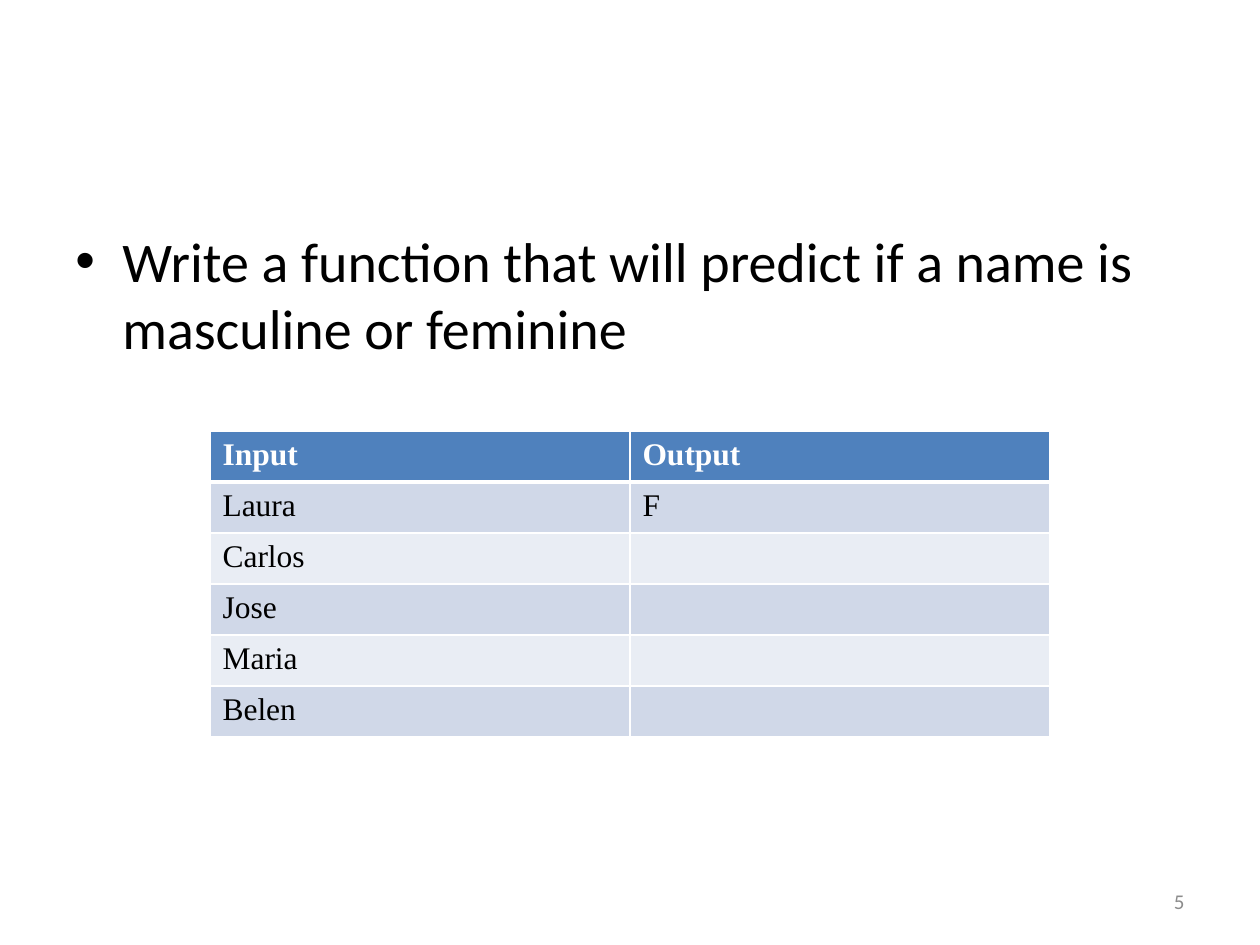
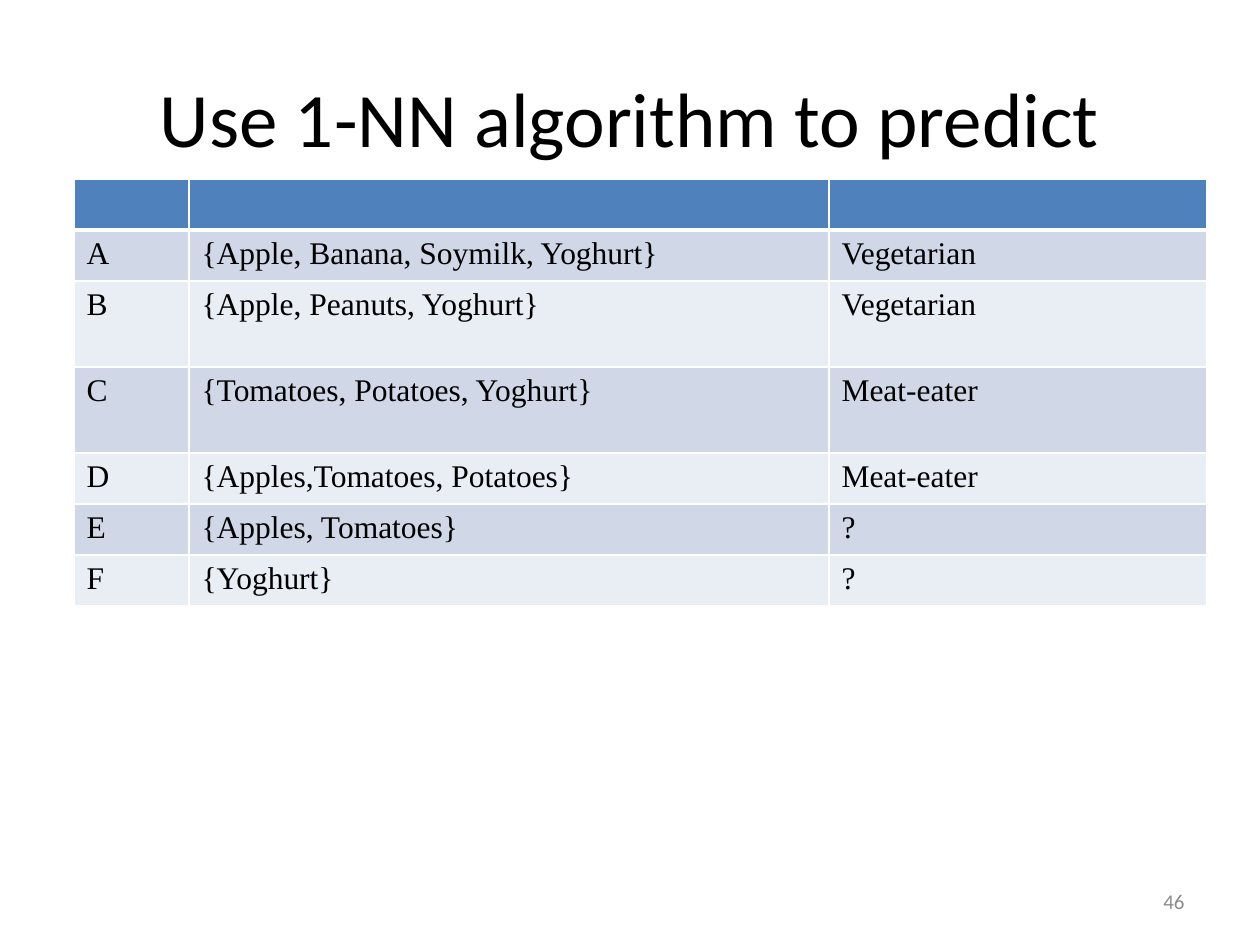
import pptx
import pptx.dml.color
import pptx.enum.text
import pptx.oxml.ns
import pptx.util
from lxml import etree

# Shared scale, colours and fonts
PX = 914400 // 126
BLACK, WHITE, GREY = "000000", "FFFFFF", "8C8C8C"
HEADER, BANDS = "4F81BD", ("D0D8E8", "E9EDF4")
SANS, SERIF = "Calibri", "Times New Roman"
ROW_H, TALL_ROW_H = 51, 86

ALIGN = pptx.enum.text.PP_ALIGN
ANCHOR = pptx.enum.text.MSO_ANCHOR

# Text styles
TITLE = {"name": SANS, "size": 44, "color": BLACK}
BODY = {"name": SANS, "size": 32, "color": BLACK}
NUMBER = {"name": SANS, "size": 12, "color": GREY}
CELL = {"name": SERIF, "size": 18, "color": BLACK, "bold": False}
HEAD_CELL = {**CELL, "color": WHITE, "bold": True}


def px(n):
    return pptx.util.Emu(n * PX)


def rgb(code):
    return pptx.dml.color.RGBColor.from_string(code)


def add_run(p, text, style):
    r = p.add_run()
    r.text = text
    for key, value in style.items():
        if key == "color":
            r.font.color.rgb = rgb(value)
        else:
            setattr(r.font, key, pptx.util.Pt(value) if key == "size" else value)


def sub(parent, tag, **attrs):
    return etree.SubElement(parent, pptx.oxml.ns.qn(tag), attrs)


def add_text(s, box, text, style, align=ALIGN.LEFT, anchor=ANCHOR.MIDDLE):
    tf = s.shapes.add_textbox(*map(px, box)).text_frame
    tf.word_wrap = True
    tf.vertical_anchor = anchor
    p = tf.paragraphs[0]
    p.alignment = align
    add_run(p, text, style)
    return p


def add_title(s, text):
    add_text(s, (63, 38, 1134, 157), text, TITLE, ALIGN.CENTER)


def add_bullet(s, text):
    p = add_text(s, (63, 220, 1134, 624), text, BODY, anchor=ANCHOR.TOP)
    pPr = p._p.get_or_add_pPr()
    pPr.set("marL", str(px(47)))
    pPr.set("indent", str(px(-47)))
    sub(sub(pPr, "a:spcBef"), "a:spcPct", val="20000")
    sub(pPr, "a:buFont", typeface="Arial")
    sub(pPr, "a:buChar", char="•")


def add_page_number(s, number):
    add_text(s, (903, 876, 294, 50), str(number), NUMBER, ALIGN.RIGHT)


def add_borders(cell, widths):
    tcPr = cell._tc.get_or_add_tcPr()
    for side, width in widths.items():
        ln = sub(tcPr, f"a:ln{side}", w=str(pptx.util.Pt(width)))
        sub(sub(ln, "a:solidFill"), "a:srgbClr", val=WHITE)


def add_table(s, left, top, col_widths, rows, tall_rows=()):
    heights = [TALL_ROW_H if i in tall_rows else ROW_H for i in range(len(rows))]
    frame = s.shapes.add_table(len(rows), len(col_widths), px(left), px(top),
                               px(sum(col_widths)), px(sum(heights)))
    table = frame.table
    table.first_row = table.horz_banding = False
    for column, width in zip(table.columns, col_widths):
        column.width = px(width)
    for i, values in enumerate(rows):
        table.rows[i].height = px(heights[i])
        for j, value in enumerate(values):
            cell = table.cell(i, j)
            add_borders(cell, {"L": 1, "R": 1, "T": 3 if i == 1 else 1,
                               "B": 3 if i == 0 else 1})
            cell.fill.solid()
            cell.fill.fore_color.rgb = rgb(BANDS[(i - 1) % 2] if i else HEADER)
            if value:
                add_run(cell.text_frame.paragraphs[0], value,
                        CELL if i else HEAD_CELL)


def main():
    prs = pptx.Presentation()
    prs.slide_width, prs.slide_height = px(1260), px(945)
    blank = prs.slide_layouts[6]

    # Names and predicted gender
    s = prs.slides.add_slide(blank)
    add_bullet(s, "Write a function that will predict if a name is masculine or feminine")
    add_page_number(s, 5)
    add_table(s, 210, 431, (420, 420), [
        ("Input", "Output"),
        ("Laura", "F"),
        ("Carlos", ""),
        ("Jose", ""),
        ("Maria", ""),
        ("Belen", ""),
    ])

    # Shopping baskets and predicted diet
    s = prs.slides.add_slide(blank)
    add_title(s, "Use 1-NN algorithm to predict")
    add_table(s, 74, 179, (115, 640, 378), [
        ("", "", ""),
        ("A", "{Apple, Banana, Soymilk, Yoghurt}", "Vegetarian"),
        ("B", "{Apple, Peanuts, Yoghurt}", "Vegetarian"),
        ("C", "{Tomatoes, Potatoes, Yoghurt}", "Meat-eater"),
        ("D", "{Apples,Tomatoes, Potatoes}", "Meat-eater"),
        ("E", "{Apples, Tomatoes}", "?"),
        ("F", "{Yoghurt}", "?"),
    ], tall_rows=(2, 3))
    add_page_number(s, 46)

    prs.save("out.pptx")


if __name__ == "__main__":
    main()
